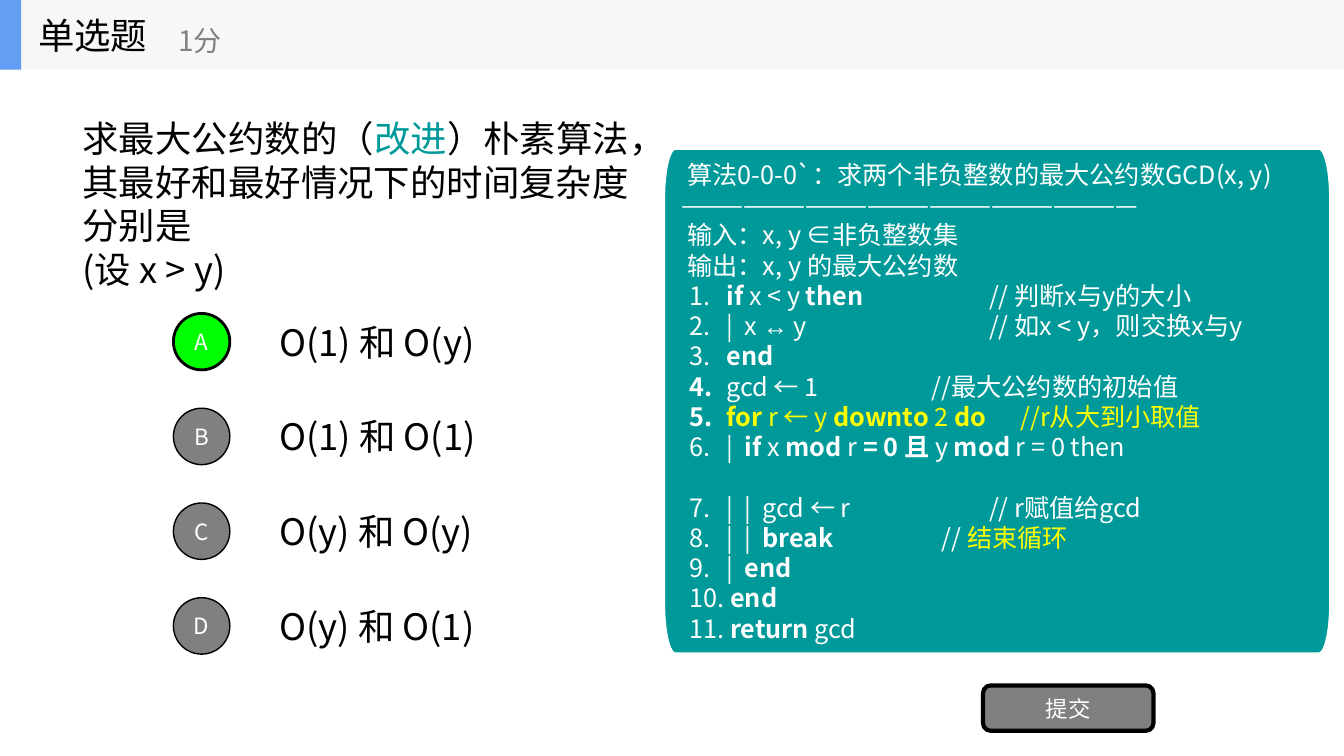
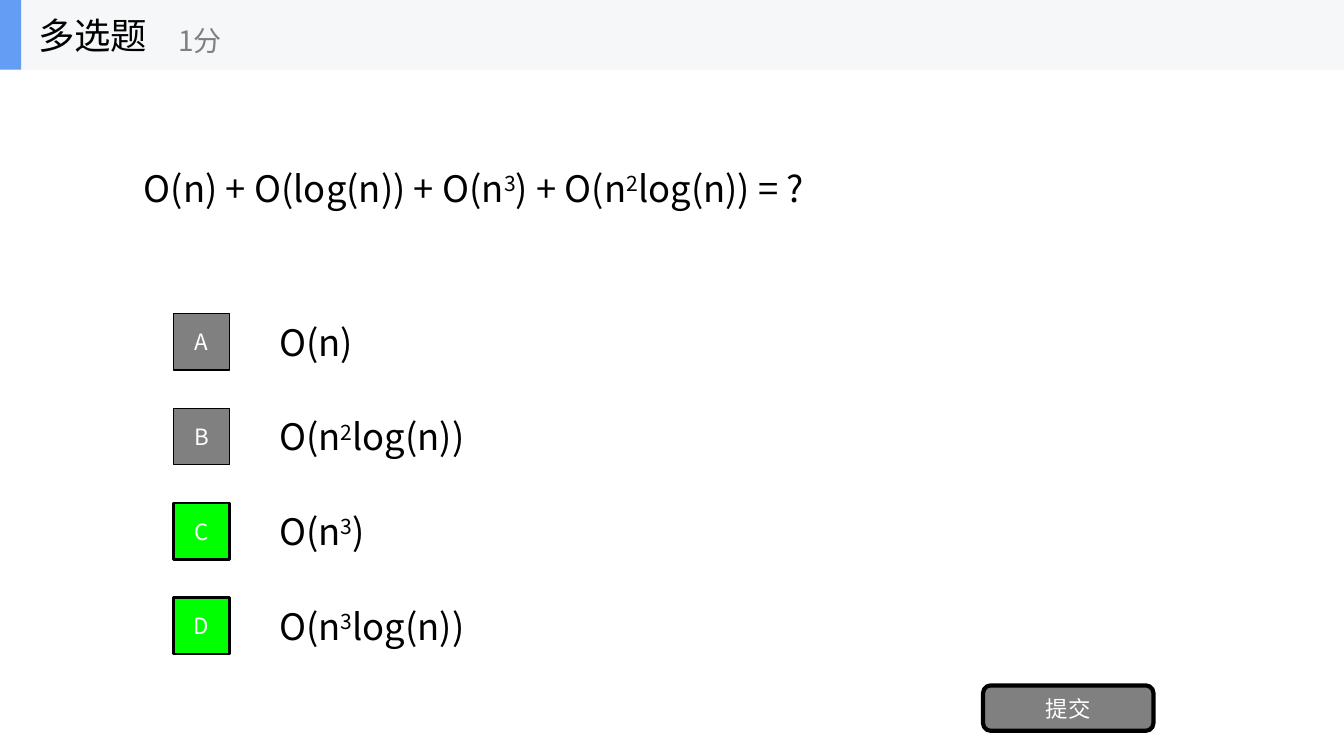
"""Build two quiz slides: one single-choice and one multiple-choice question."""
import math
from lxml import etree
from pptx import Presentation
from pptx.dml.color import RGBColor
from pptx.enum import shapes, text
from pptx.oxml import ns
from pptx.util import Inches, Pt

FONT, SYMBOL_FONT = "Noto Sans CJK SC", "Arial"
BLACK, WHITE, GRAY = "000000", "FFFFFF", "808080"
GREEN, TEAL, YELLOW = "00FF00", "009999", "FFFF00"
BAND, BAND_ACCENT = "F6F7F8", "639EF4"

# Toggles inside texts: * bold, ~ accent colour, ^ superscript, @ symbol font
QUIZZES = [
    {
        "kind": "单选题",
        "question": ["求最大公约数的（~改进~）朴素算法，其最好和最好情况下的时间复杂度分别是",
                     "(设 x > y)"],
        "question_box": (0.72, 0.85, 5.97, 2.34),
        "options": ["O(1) 和 O(y)", "O(1) 和 O(1)", "O(y) 和 O(y)", "O(y) 和 O(1)"],
        "option_width": 3.61,
        "correct": "A",
        "marker": shapes.MSO_SHAPE.OVAL,
    },
    {
        "kind": "多选题",
        "question": ["O(n) + O(log(n)) + O(n^3^) + O(n^2^log(n)) = ?"],
        "question_box": (1.33, 0.69, 10.67, 2.34),
        "options": ["O(n)", "O(n^2^log(n))", "O(n^3^)", "O(n^3^log(n))"],
        "option_width": 9.33,
        "correct": "CD",
        "marker": shapes.MSO_SHAPE.RECTANGLE,
    },
]
RULE = "—" * 22
ALGORITHM_HEAD = [
    RULE,
    " 算法0-0-0`：求两个非负整数的最大公约数GCD(x, y)",
    RULE,
    " 输入：x, y ∈非负整数集",
    " 输出：x, y 的最大公约数",
]
# Code line and the tab stop of its remark
ALGORITHM_STEPS = [
    (" *if* x < y *then*\t// 判断x与y的大小", 3.05),
    (" |  x @↔@ y\t// 如x < y，则交换x与y", 3.05),
    (" *end*", None),
    ("* *gcd ← 1\t//最大公约数的初始值", 2.48),
    ("* ~for *r ← y *downto *2 *do*\t//r从大到小取值~", 3.36),
    (" |  *if *x *mod *r* = 0 且 *y *mod* r = 0 then", None),
    (" |  |  gcd ← r\t// r赋值给gcd", 3.05),
    (" |  |  *break*\t// ~结束循环~", 2.58),
    (" |  *end*", None),
    (" *end*", None),
    (" *return *gcd", None),
]
GAP_AFTER_STEP = 6
LINE_PITCH = 21.6


def rgb(value):
    """Turn a hex string into a colour."""
    return RGBColor.from_string(value)


def set_font(paragraph, size, color):
    """Set the paragraph's font, East Asian face included."""
    font = paragraph.font
    font.size, font.name = Pt(size), FONT
    font.color.rgb = rgb(color)
    east_asian = etree.Element(ns.qn("a:ea"), typeface=FONT)
    font._element.find(ns.qn("a:latin")).addnext(east_asian)


def add_runs(paragraph, marked, accent):
    """Split a marked text into runs at its toggles."""
    active, piece = set(), ""
    for char in marked + "\0":
        if char not in "*~^@\0":
            piece += char
            continue
        if piece:
            run = paragraph.add_run()
            run.text = piece
            if "*" in active:
                run.font.bold = True
            if "~" in active:
                run.font.color.rgb = rgb(accent)
            if "@" in active:
                run.font.name = SYMBOL_FONT
            if "^" in active:
                run.font._element.set("baseline", "30000")
        piece = ""
        active ^= {char}


def write(shape, lines, size, color, accent=TEAL, align=text.PP_ALIGN.LEFT):
    """Fill a shape with vertically centred paragraphs and return them."""
    frame = shape.text_frame
    frame.word_wrap = True
    frame.vertical_anchor = text.MSO_ANCHOR.MIDDLE
    for index, line in enumerate(lines):
        paragraph = frame.add_paragraph() if index else frame.paragraphs[0]
        paragraph.alignment = align
        set_font(paragraph, size, color)
        add_runs(paragraph, line, accent)
    return frame.paragraphs


def add_label(slide, box, lines, size, color=BLACK):
    """Add a text box."""
    write(slide.shapes.add_textbox(*map(Inches, box)), lines, size, color)


def paint(shape, fill, line_width=0, line=BLACK):
    """Give a shape a flat fill and an optional outline."""
    shape.shadow.inherit = False
    shape.fill.solid()
    shape.fill.fore_color.rgb = rgb(fill)
    if line_width:
        shape.line.color.rgb = rgb(line)
        shape.line.width = Pt(line_width)
    else:
        shape.line.fill.background()


def add_block(slide, preset, box, fill, line_width=0, caption=None):
    """Add a preset shape with an optional centred caption."""
    block = slide.shapes.add_shape(preset, *map(Inches, box))
    paint(block, fill, line_width)
    if caption:
        write(block, [caption], 16, WHITE, align=text.PP_ALIGN.CENTER)
        frame = block.text_frame
        frame.margin_left = frame.margin_right = 0


def add_header(slide, kind):
    """Add the band with the question kind and its score."""
    rectangle = shapes.MSO_SHAPE.RECTANGLE
    add_block(slide, rectangle, (0, 0, 13.33, 0.69), BAND)
    add_block(slide, rectangle, (0, 0, 0.21, 0.69), BAND_ACCENT)
    add_label(slide, (0.28, 0, 2.08, 0.69), [kind], 26)
    add_label(slide, (1.67, 0.12, 2.5, 0.56), ["1分"], 20, GRAY)


def add_quiz(slide, quiz):
    """Add header, question, options and submit button."""
    add_label(slide, quiz["question_box"], quiz["question"], 26)
    for row, (letter, option) in enumerate(zip("ABCD", quiz["options"])):
        top = 3.04 + 0.94 * row
        add_label(slide, (2.67, top, quiz["option_width"], 0.7), [option], 26)
        correct = letter in quiz["correct"]
        add_block(slide, quiz["marker"], (1.72, top + 0.07, 0.56, 0.56),
                  GREEN if correct else GRAY, 2 if correct else 1, letter)
    add_block(slide, shapes.MSO_SHAPE.ROUNDED_RECTANGLE,
              (9.75, 6.8, 1.69, 0.45), GRAY, 3, "提交")
    add_header(slide, quiz["kind"])


def panel_outline(left, top, width, height, radius_x, radius_y, steps=12):
    """List the points of a rectangle with elliptical corners."""
    points = []
    for corner in range(4):
        center_x = left + (radius_x if corner in (0, 3) else width - radius_x)
        center_y = top + (radius_y if corner < 2 else height - radius_y)
        for step in range(steps + 1):
            angle = math.pi * (1 + corner / 2 + step / steps / 2)
            points.append((Inches(center_x + radius_x * math.cos(angle)),
                           Inches(center_y + radius_y * math.sin(angle))))
    return points


def number_step(paragraph, tab):
    """Number a code line and set the tab stop of its remark."""
    properties = paragraph._p.get_or_add_pPr()
    properties.set("marL", str(Inches(0.39)))
    properties.set("indent", str(Inches(-0.31)))
    numbering = etree.Element(ns.qn("a:buAutoNum"), type="arabicPeriod")
    properties.find(ns.qn("a:defRPr")).addprevious(numbering)
    if tab:
        tabs = etree.Element(ns.qn("a:tabLst"))
        etree.SubElement(tabs, ns.qn("a:tab"), pos=str(Inches(tab)), algn="l")
        numbering.addnext(tabs)


def add_algorithm(slide):
    """Add the panel with the numbered pseudocode."""
    start, *rest = panel_outline(6.59, 1.48, 6.6, 5, 0.11, 0.5)
    builder = slide.shapes.build_freeform(*start)
    builder.add_line_segments(rest, close=True)
    panel = builder.convert_to_shape()
    paint(panel, TEAL, 1, WHITE)
    frame = panel.text_frame
    frame.margin_left = frame.margin_right = Inches(0.17)
    frame.margin_top = frame.margin_bottom = Inches(0.17)
    lines = ALGORITHM_HEAD + [line for line, _ in ALGORITHM_STEPS] + [RULE]
    paragraphs = write(panel, lines, 18, WHITE, YELLOW)
    for paragraph in paragraphs:
        paragraph.line_spacing = Pt(LINE_PITCH)
    steps = paragraphs[len(ALGORITHM_HEAD):-1]
    for paragraph, (_, tab) in zip(steps, ALGORITHM_STEPS):
        number_step(paragraph, tab)
    steps[GAP_AFTER_STEP - 1].space_after = Pt(LINE_PITCH)


def main():
    """Build and save the presentation."""
    deck = Presentation()
    deck.slide_width, deck.slide_height = Inches(13.33), Inches(7.5)
    for quiz in QUIZZES:
        add_quiz(deck.slides.add_slide(deck.slide_layouts[6]), quiz)
    add_algorithm(deck.slides[0])
    deck.save("out.pptx")


if __name__ == "__main__":
    main()
